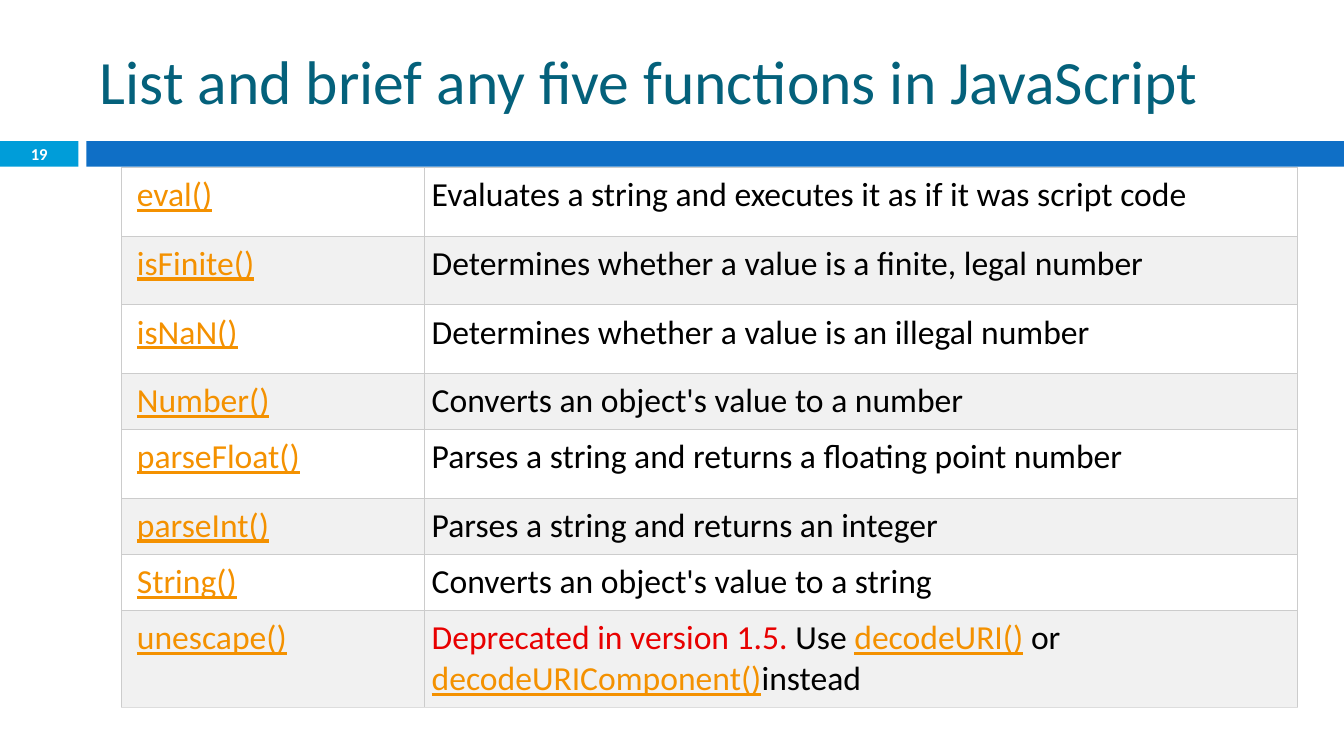
import dataclasses

import lxml.etree
import pptx
import pptx.dml.color
import pptx.enum.shapes
import pptx.enum.text
import pptx.oxml.ns
import pptx.util

Cm = pptx.util.Cm
Pt = pptx.util.Pt


@dataclasses.dataclass(frozen=True)
class Theme:
    font: str = "Calibri"
    title: str = "04617B"
    number_block: str = "009DD9"
    band: str = "0F6FC6"
    link: str = "F49100"
    body: str = "000000"
    warning: str = "E80000"
    light: str = "FFFFFF"
    shaded: str = "F1F1F1"
    border: str = "CCCCCC"
    last_border: str = "DDDDDD"
    title_size: float = 44
    body_size: float = 24
    number_size: float = 11.9
    border_width: float = 0.75


THEME = Theme()
TALL, SHORT, DOUBLE = 1.73, 1.41, 2.44

FUNCTIONS = [
    ("eval()", "Evaluates a string and executes it as if it was script code", TALL),
    ("isFinite()", "Determines whether a value is a finite, legal number", TALL),
    ("isNaN()", "Determines whether a value is an illegal number", TALL),
    ("Number()", "Converts an object's value to a number", SHORT),
    ("parseFloat()", "Parses a string and returns a floating point number", TALL),
    ("parseInt()", "Parses a string and returns an integer", SHORT),
    ("String()", "Converts an object's value to a string", SHORT),
]
DEPRECATION = [
    ("Deprecated in version 1.5.", THEME.warning),
    (" Use ", THEME.body),
    ("decodeURI()", THEME.link),
    (" or ", THEME.body),
    ("decodeURIComponent()", THEME.link),
    ("instead", THEME.body),
]


def rgb(code):
    return pptx.dml.color.RGBColor.from_string(code)


def style_run(run, size, color, bold=False):
    run.font.name = THEME.font
    run.font.size = Pt(size)
    run.font.bold = bold
    run.font.underline = color == THEME.link
    run.font.color.rgb = rgb(color)


def place(shape, left, top, width, height):
    shape.left, shape.top = Cm(left), Cm(top)
    shape.width, shape.height = Cm(width), Cm(height)


def add_title(slide, wording):
    title = slide.shapes.title
    place(title, 2.26, 0.64, 30.2, 2.74)
    frame = title.text_frame
    frame.text = wording
    frame.auto_size = pptx.enum.text.MSO_AUTO_SIZE.NONE
    frame.vertical_anchor = pptx.enum.text.MSO_ANCHOR.MIDDLE
    frame.paragraphs[0].alignment = pptx.enum.text.PP_ALIGN.LEFT
    style_run(frame.paragraphs[0].runs[0], THEME.title_size, THEME.title)


def add_bar(slide, left, width, color):
    bar = slide.shapes.add_shape(
        pptx.enum.shapes.MSO_SHAPE.RECTANGLE, Cm(left), Cm(3.56), Cm(width), Cm(0.64)
    )
    bar.shadow.inherit = False
    bar.fill.solid()
    bar.fill.fore_color.rgb = rgb(color)
    bar.line.fill.background()


def add_page_number(slide, number):
    box = slide.shapes.add_textbox(Cm(0), Cm(3.53), Cm(1.98), Cm(0.69))
    frame = box.text_frame
    frame.text = number
    frame.word_wrap = True
    frame.margin_top = frame.margin_bottom = 0
    frame.vertical_anchor = pptx.enum.text.MSO_ANCHOR.MIDDLE
    frame.paragraphs[0].alignment = pptx.enum.text.PP_ALIGN.CENTER
    style_run(frame.paragraphs[0].runs[0], THEME.number_size, THEME.light, bold=True)


def add_borders(cell, bottom_color):
    properties = cell._tc.get_or_add_tcPr()
    qn = pptx.oxml.ns.qn
    for side in "LRTB":
        color = bottom_color if side == "B" else THEME.border
        line = lxml.etree.SubElement(
            properties, qn(f"a:ln{side}"), w=str(Pt(THEME.border_width))
        )
        fill = lxml.etree.SubElement(line, qn("a:solidFill"))
        lxml.etree.SubElement(fill, qn("a:srgbClr"), val=color)


def fill_cell(cell, pieces, left_margin, background, bottom_color):
    cell.margin_left = Cm(left_margin)
    cell.margin_right = cell.margin_top = cell.margin_bottom = Cm(0.19)
    add_borders(cell, bottom_color)
    cell.fill.solid()
    cell.fill.fore_color.rgb = rgb(background)
    paragraph = cell.text_frame.paragraphs[0]
    for wording, color in pieces:
        run = paragraph.add_run()
        run.text = wording
        style_run(run, THEME.body_size, color)


def add_function_table(slide):
    entries = [(name, [(use, THEME.body)], height) for name, use, height in FUNCTIONS]
    entries.append(("unescape()", DEPRECATION, DOUBLE))
    total = sum(height for _, _, height in entries)
    table = slide.shapes.add_table(
        len(entries), 2, Cm(3.07), Cm(4.22), Cm(29.62), Cm(total)
    ).table
    table.first_row = table.horz_banding = False
    table.columns[0].width = Cm(7.62)
    table.columns[1].width = Cm(22)
    for index, (name, description, height) in enumerate(entries):
        table.rows[index].height = Cm(height)
        background = THEME.shaded if index % 2 else THEME.light
        bottom = THEME.last_border if index == len(entries) - 1 else THEME.border
        name_cell, description_cell = table.rows[index].cells
        fill_cell(name_cell, [(name, THEME.link)], 0.38, background, bottom)
        fill_cell(description_cell, description, 0.19, background, bottom)


def main():
    deck = pptx.Presentation()
    deck.slide_width, deck.slide_height = Cm(33.87), Cm(19.05)
    slide = deck.slides.add_slide(deck.slide_layouts[5])
    add_bar(slide, 0, 1.98, THEME.number_block)
    add_bar(slide, 2.18, 31.69, THEME.band)
    add_title(slide, "List and brief any five functions in JavaScript")
    add_function_table(slide)
    add_page_number(slide, "19")
    deck.save("out.pptx")


if __name__ == "__main__":
    main()
